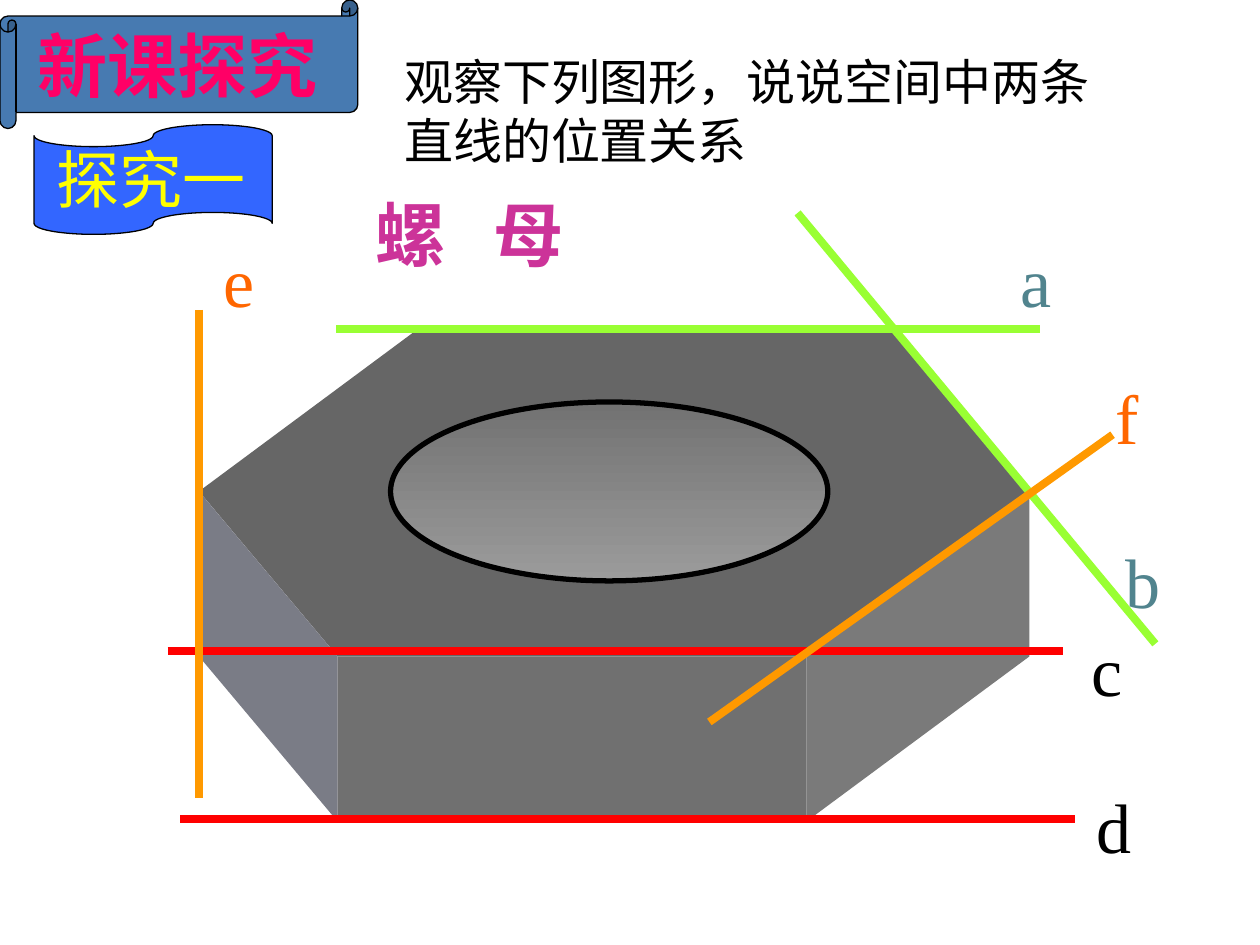
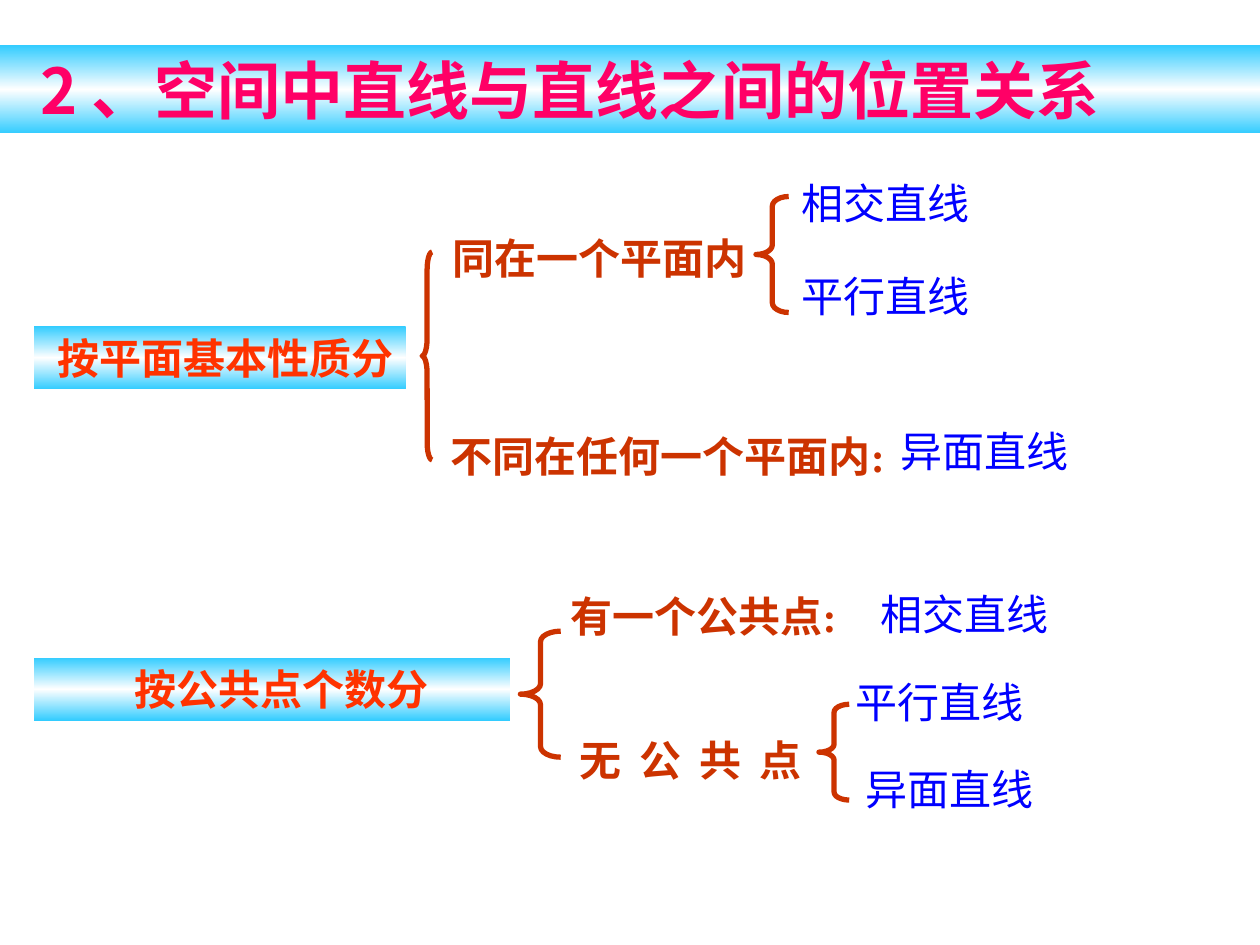
from lxml.etree import SubElement
from pptx import Presentation
from pptx.dml.color import RGBColor
from pptx.enum.shapes import MSO_CONNECTOR, MSO_SHAPE
from pptx.enum.text import MSO_ANCHOR, MSO_AUTO_SIZE, PP_ALIGN
from pptx.oxml.ns import qn
from pptx.util import Inches, Pt

# All lengths are cells of a square grid: 100 columns by 75 rows.
COLUMNS, ROWS = 100, 75
CELL = Inches(0.1)

SERIF, SANS, CJK = "Times New Roman", "Arial", "Noto Sans CJK SC"
TITLE_PINK = "FF0066"
BAND_GRADIENT = ["33CCFF", "FFFFFF", "33CCFF"]
BAND_TEXT = "FF3300"
BRANCH = "CC3300"
ANSWER = "0000FF"
NUT_SIDES = {"left": "7A7C86", "front": "707070", "right": "7A7A7A"}


def cells(*lengths):
    return [round(length * CELL) for length in lengths]


def color(hex_string):
    return RGBColor.from_string(hex_string)


def set_fill(shape, paint):
    """Fill with one colour, or top to bottom with a list of colours."""
    if paint is None:
        shape.fill.background()
    elif isinstance(paint, str):
        shape.fill.solid()
        shape.fill.fore_color.rgb = color(paint)
    else:
        shape.fill.gradient()
        shape.fill.gradient_angle = 270
        stops = shape._element.spPr.find(".//" + qn("a:gsLst"))
        for stop in list(stops):
            stops.remove(stop)
        for i, shade in enumerate(paint):
            stop = SubElement(stops, qn("a:gs"), pos=str(100000 * i // (len(paint) - 1)))
            SubElement(stop, qn("a:srgbClr"), val=shade)


def style(shape, paint, outline=None, weight=0.75):
    shape.shadow.inherit = False
    set_fill(shape, paint)
    if outline:
        shape.line.color.rgb = color(outline)
        shape.line.width = Pt(weight)
    else:
        shape.line.fill.background()
    return shape


def add_preset(slide, kind, box, paint, outline=None, weight=0.75):
    return style(slide.shapes.add_shape(kind, *cells(*box)), paint, outline, weight)


def add_polygon(slide, corners, paint):
    points = [cells(*corner) for corner in corners]
    builder = slide.shapes.build_freeform(*points[0], scale=1.0)
    builder.add_line_segments(points[1:], close=True)
    return style(builder.convert_to_shape(), paint)


def add_line(slide, start, end, shade):
    line = slide.shapes.add_connector(MSO_CONNECTOR.STRAIGHT, *cells(*start, *end))
    line.line.color.rgb = color(shade)
    line.line.width = Pt(4.5)
    SubElement(line._element.spPr, qn("a:effectLst"))


def write(shape, text, size=24, shade="000000", font=SERIF, bold=False,
          align=PP_ALIGN.LEFT, anchor=MSO_ANCHOR.TOP, wrap=True, left=1, tracking=0):
    """Put one formatted paragraph in a shape; left is its left inset."""
    frame = shape.text_frame
    frame.auto_size = MSO_AUTO_SIZE.NONE
    frame.word_wrap = wrap
    frame.vertical_anchor = anchor
    frame.margin_left, frame.margin_right, frame.margin_top, frame.margin_bottom = cells(
        left, 1, 0.5, 0.5)
    paragraph = frame.paragraphs[0]
    paragraph.alignment = align
    run = paragraph.add_run()
    run.text = text
    run.font.size = Pt(size)
    run.font.bold = bold
    run.font.color.rgb = color(shade)
    run.font.name = font
    properties = run.font._element
    SubElement(properties, qn("a:ea"), typeface=CJK)
    if tracking:
        properties.set("spc", str(round(tracking * 100)))


def add_text(slide, box, text, **text_format):
    write(slide.shapes.add_textbox(*cells(*box)), text, **text_format)


def add_title(slide, box, text, **text_format):
    """Move the title placeholder to the front and format it."""
    title = slide.shapes.title
    title.left, title.top, title.width, title.height = cells(*box)
    slide.shapes._spTree.append(title._element)
    write(title, text, shade=TITLE_PINK, bold=True, **text_format)
    return title


def add_brace(slide, box):
    brace = add_preset(slide, MSO_SHAPE.LEFT_BRACE, box, None, BRANCH, 3)
    width, height = box[2:]
    brace.adjustments[0] = height / 12 / width


def add_nut(slide):
    back_left, back_right = (33.6, 25.8), (70.7, 25.8)
    right, front_right, front_left, left = (81.7, 39), (64, 52.1), (26.8, 52.1), (15.8, 39)
    thickness = 13.1
    add_polygon(slide, [back_left, back_right, right, front_right, front_left, left], "666666")
    add_preset(slide, MSO_SHAPE.OVAL, (31, 31.9, 34.7, 14.2), ["727272", "9B9B9B"], "000000", 3)
    for side, start, end in (("left", left, front_left), ("right", front_right, right)):
        lower = [(x, y + thickness) for x, y in (end, start)]
        add_polygon(slide, [start, end, *lower], NUT_SIDES[side])
    add_preset(slide, MSO_SHAPE.RECTANGLE,
               (*front_left, front_right[0] - front_left[0], thickness), NUT_SIDES["front"])


def build_nut_slide(slide):
    add_nut(slide)
    add_text(slide, (26.4, 11.3, 20.5, 14.4), "螺 母", size=40, shade="CC3399", bold=True,
             align=PP_ALIGN.CENTER, anchor=MSO_ANCHOR.MIDDLE, left=2.2, tracking=9)

    # name, start, end, line colour, label corner, label colour
    edges = [
        ("a", (26.7, 26.1), (82.5, 26.1), "99FF33", (80, 18.3), "51848E"),
        ("b", (63.3, 16.9), (91.7, 51.1), "99FF33", (88.5, 42.2), "51848E"),
        ("c", (13.3, 51.7), (84.4, 51.7), "FF0000", (85.6, 49.2), "000000"),
        ("d", (14.3, 65), (85.3, 65), "FF0000", (86.2, 61.7), "000000"),
        ("e", (15.8, 24.6), (15.8, 63.3), "FF9900", (16.7, 18.3), "FF6600"),
        ("f", (88.3, 34.5), (56.3, 57.3), "FF9900", (87.2, 29.2), "FF6600"),
    ]
    for name, start, end, line_shade, corner, label_shade in edges:
        add_line(slide, start, end, line_shade)
        add_text(slide, (*corner, 4.5, 7.7), name, size=40, shade=label_shade,
                 align=PP_ALIGN.CENTER, anchor=MSO_ANCHOR.MIDDLE, wrap=False)

    scroll = add_preset(slide, MSO_SHAPE.HORIZONTAL_SCROLL, (0, 0, 28.4, 10.2),
                        "477AB1", "000000")
    scroll.adjustments[0] = 0.125
    add_title(slide, (2, 1.3, 25.2, 7.7), "新课探究", size=40, font=SANS)
    add_text(slide, (31.1, 3.6, 59.1, 10.4), "观察下列图形，说说空间中两条直线的位置关系",
             size=28, font=SANS)
    add_preset(slide, MSO_SHAPE.FLOWCHART_PUNCHED_TAPE, (2.7, 9.9, 18.9, 8.7),
               "3366FF", "000000")
    add_text(slide, (3.5, 10.7, 18.1, 7), "探究一", size=36, font=SANS, shade="FFFF00")


def build_classification_slide(slide):
    row_height = 5
    bases = [("按平面基本性质分", 25.9, 29.5, 1.8), ("按公共点个数分", 52.2, 37.8, 2.5)]
    for basis, top, width, inset in bases:
        band = add_preset(slide, MSO_SHAPE.RECTANGLE, (2.7, top, width, row_height),
                          BAND_GRADIENT)
        write(band, basis, shade=BAND_TEXT, bold=True, align=PP_ALIGN.CENTER,
              wrap=False, left=inset)

    branches = [
        ("同在一个平面内", 34.9, 18, 0),
        ("不同在任何一个平面内:", 34.8, 33.7, 0),
        ("有一个公共点:", 44.3, 46.4, 0),
        ("无 公 共 点", 45, 57.8, 2.5),
    ]
    for branch, left, top, tracking in branches:
        add_text(slide, (left, top, 43, row_height), branch, shade=BRANCH, bold=True,
                 tracking=tracking)

    answers = [
        ("相交直线", 62.6, 13.6), ("平行直线", 62.6, 21), ("异面直线", 70.5, 33.3),
        ("相交直线", 68.9, 46.2), ("平行直线", 66.9, 53.2), ("异面直线", 67.7, 60.1),
    ]
    for answer, left, top in answers:
        add_text(slide, (left, top, 21.1, row_height), answer, shade=ANSWER)

    for brace in ((33.5, 20, 0.8, 16.5), (65, 55.9, 2.4, 7.6),
                  (41.3, 50.1, 3.2, 10), (60, 15.6, 2.6, 9.2)):
        add_brace(slide, brace)

    heading = add_title(slide, (0, 3.6, COLUMNS, 7), "2 、空间中直线与直线之间的位置关系",
                        size=36, font=CJK, left=3.2)
    set_fill(heading, BAND_GRADIENT)


def main():
    deck = Presentation()
    deck.slide_width, deck.slide_height = cells(COLUMNS, ROWS)
    title_only = deck.slide_layouts[5]
    for build in (build_nut_slide, build_classification_slide):
        build(deck.slides.add_slide(title_only))
    deck.save("out.pptx")


if __name__ == "__main__":
    main()
